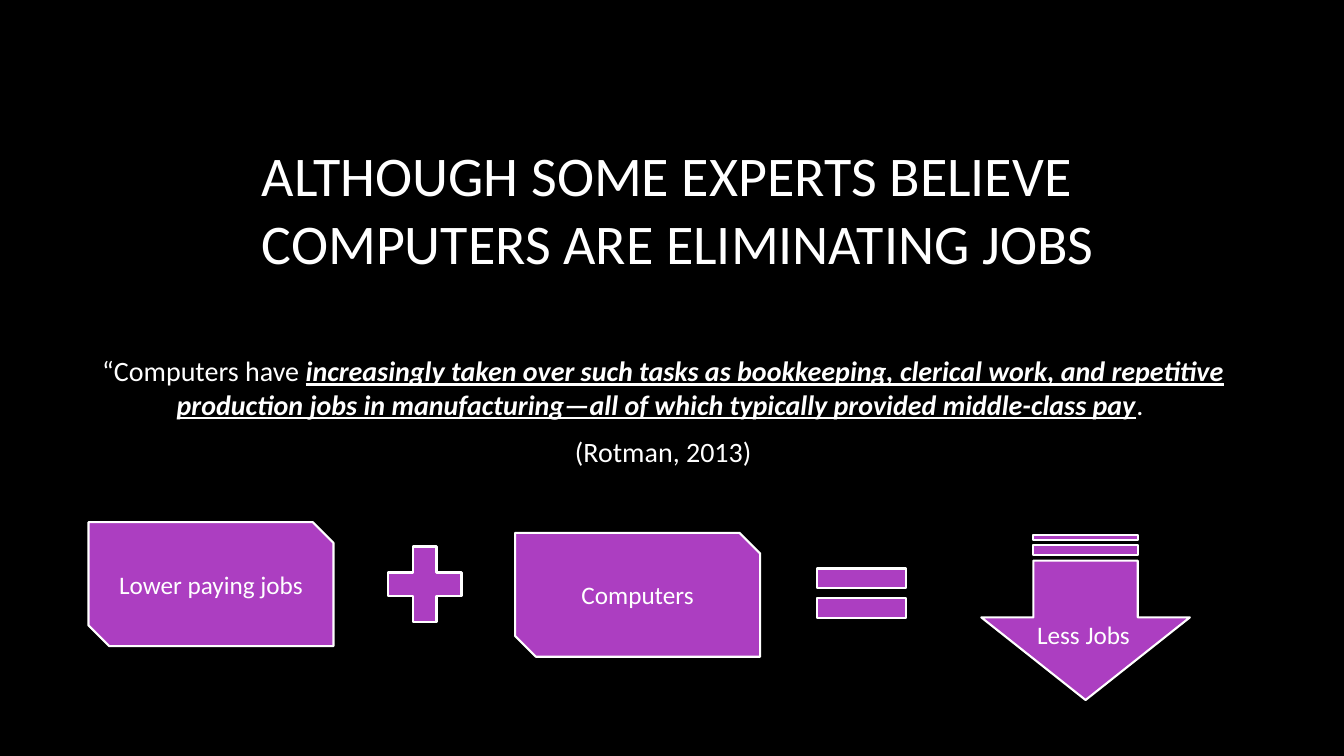
from pptx import Presentation
from pptx.dml.color import RGBColor
from pptx.enum import shapes, text
from pptx.util import Pt

BLACK = RGBColor(0x00, 0x00, 0x00)
WHITE = RGBColor(0xFF, 0xFF, 0xFF)
PURPLE = RGBColor(0xAC, 0x3E, 0xC1)
KIND = shapes.MSO_SHAPE
ANCHOR = text.MSO_ANCHOR
CENTER = text.PP_ALIGN.CENTER
LEFT = text.PP_ALIGN.LEFT


def add_run(paragraph, words, size=18, emphasis=False):
    run = paragraph.add_run()
    run.text = words
    font = run.font
    font.name = "Calibri"
    font.size = Pt(size)
    font.color.rgb = WHITE
    font.bold = font.italic = font.underline = emphasis


class JobsSlide:
    def __init__(self, presentation):
        self.slide = presentation.slides.add_slide(presentation.slide_layouts[6])
        background = self.slide.background.fill
        background.solid()
        background.fore_color.rgb = BLACK

    def text_box(self, left, top, width, height, paragraphs, size=18,
                 align=LEFT, anchor=ANCHOR.TOP, space_after=0):
        shape = self.slide.shapes.add_textbox(Pt(left), Pt(top), Pt(width), Pt(height))
        frame = shape.text_frame
        frame.word_wrap = True
        frame.vertical_anchor = anchor
        for index, runs in enumerate(paragraphs):
            paragraph = frame.add_paragraph() if index else frame.paragraphs[0]
            paragraph.alignment = align
            paragraph.space_after = Pt(space_after)
            for words, emphasis in runs:
                add_run(paragraph, words, size=size, emphasis=emphasis)

    def symbol(self, kind, left, top, width, height, label=None, rotation=0):
        shape = self.slide.shapes.add_shape(kind, Pt(left), Pt(top), Pt(width), Pt(height))
        shape.shadow.inherit = False
        shape.rotation = rotation
        shape.fill.solid()
        shape.fill.fore_color.rgb = PURPLE
        shape.line.color.rgb = WHITE
        shape.line.width = Pt(1.5)
        if label:
            frame = shape.text_frame
            frame.word_wrap = True
            frame.vertical_anchor = ANCHOR.MIDDLE
            frame.paragraphs[0].alignment = CENTER
            add_run(frame.paragraphs[0], label)


def main():
    presentation = Presentation()
    presentation.slide_width = Pt(960)
    presentation.slide_height = Pt(540)
    jobs = JobsSlide(presentation)

    title = "ALTHOUGH SOME EXPERTS BELIEVE COMPUTERS ARE ELIMINATING JOBS"
    jobs.text_box(180, 84.2, 798, 116, [[(title, False)]], size=40, anchor=ANCHOR.BOTTOM)

    quote = [
        ("“Computers have ", False),
        ("increasingly taken over such tasks as bookkeeping, clerical work, and repetitive "
         "production jobs in manufacturing—all of which typically provided middle-class pay", True),
        (". ", False),
    ]
    jobs.text_box(63.2, 249, 821, 178.5, [quote, [("(Rotman, 2013)", False)]],
                  size=20, align=CENTER, space_after=10)

    jobs.symbol(KIND.SNIP_2_DIAG_RECTANGLE, 63.2, 373, 175, 88.5, label="Lower paying jobs")
    jobs.symbol(KIND.MATH_PLUS, 267.8, 380.6, 71.3, 73.5)
    jobs.symbol(KIND.SNIP_2_DIAG_RECTANGLE, 368, 380.6, 175, 88.5, label="Computers")
    jobs.symbol(KIND.MATH_EQUAL, 572.4, 393.8, 86.4, 59.8)
    jobs.symbol(KIND.STRIPED_RIGHT_ARROW, 716.4, 366.5, 118, 149, rotation=90)
    jobs.text_box(733.7, 438.5, 84.3, 51, [[("Less Jobs", False)]])

    presentation.save("out.pptx")


if __name__ == "__main__":
    main()
